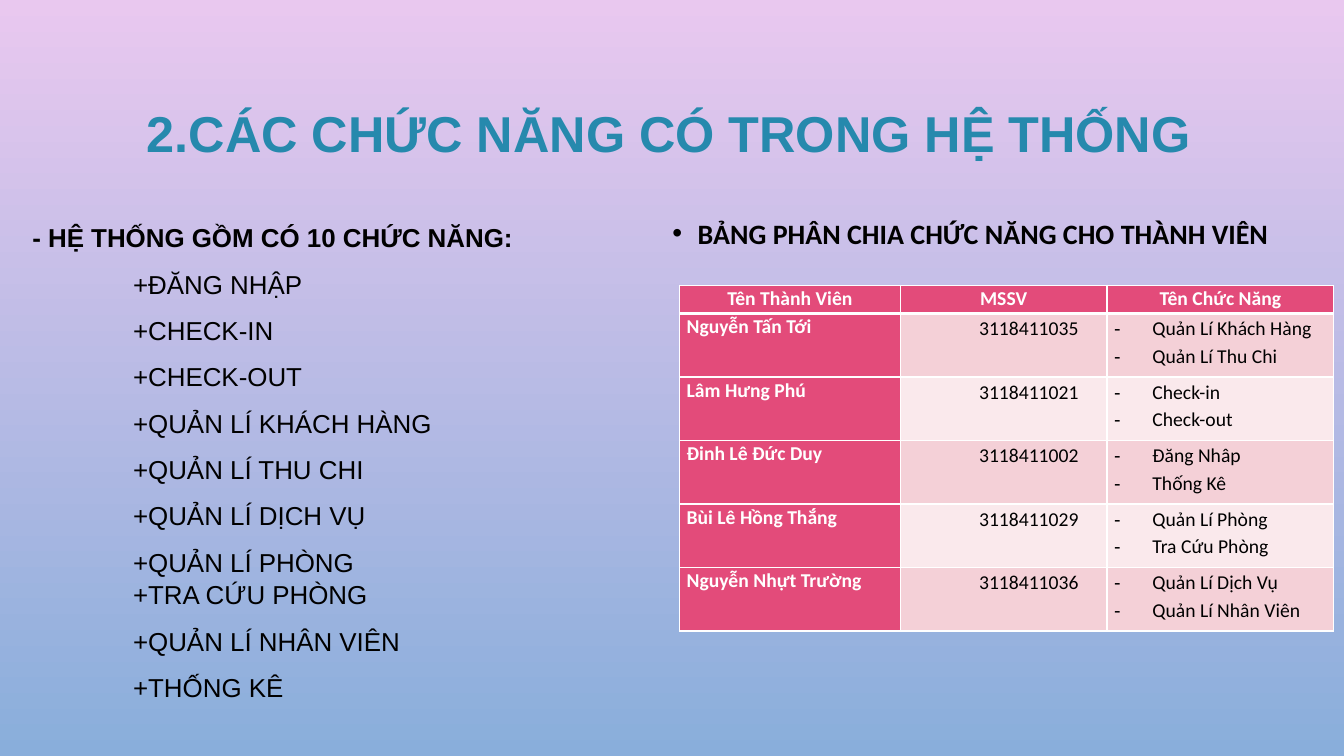
from dataclasses import dataclass

from lxml import etree
from pptx import Presentation
from pptx import util as u
from pptx.dml.color import RGBColor
from pptx.enum import text
from pptx.oxml.ns import qn


@dataclass(frozen=True)
class Theme:
    top: str = "E9C8EF"
    bottom: str = "89AEDB"
    title: str = "2689AD"
    ink: str = "000000"
    white: str = "FFFFFF"
    accent: str = "E34B7A"
    bands: tuple = ("F4D0D7", "FAE9EC")
    head_font: str = "Arial"
    table_font: str = "Calibri"
    title_size: float = 36
    list_size: float = 18.5
    caption_size: float = 20
    cell_size: float = 14


class Deck:
    """Places elements by percent of the slide's width and height."""

    def __init__(self, prs, theme):
        self.prs, self.t = prs, theme
        self.s = prs.slides.add_slide(prs.slide_layouts[3])

    def x(self, share):
        return u.Emu(round(self.prs.slide_width * share / 100))

    def y(self, share):
        return u.Emu(round(self.prs.slide_height * share / 100))

    def background(self):
        fill = self.s.background.fill
        fill.gradient()
        fill.gradient_angle = 270
        for stop, color in zip(fill.gradient_stops, (self.t.top, self.t.bottom)):
            stop.color.rgb = RGBColor.from_string(color)

    def style(self, p, font, size, color, bold=False, align=text.PP_ALIGN.LEFT,
              spacing=1.0, before=0, left=0, hang=0, bullet=None):
        pPr = p._p.get_or_add_pPr()
        pPr.set("marL", str(self.x(left)))
        pPr.set("indent", str(-self.x(hang)))
        if bullet:
            clr = etree.SubElement(pPr, qn("a:buClr"))
            etree.SubElement(clr, qn("a:srgbClr"), val=self.t.ink)
            etree.SubElement(pPr, qn("a:buFont"), typeface=self.t.head_font)
            etree.SubElement(pPr, qn("a:buChar"), char=bullet)
        else:
            etree.SubElement(pPr, qn("a:buNone"))
        p.alignment, p.line_spacing, p.space_before = align, spacing, u.Pt(before)
        for r in p.runs:
            r.font.name, r.font.size, r.font.bold = font, u.Pt(size), bold
            r.font.color.rgb = RGBColor.from_string(color)

    def placeholder(self, idx, box, content, anchor=text.MSO_ANCHOR.TOP):
        sp = self.s.placeholders[idx]
        left, top, width, height = box
        sp.left, sp.top = self.x(left), self.y(top)
        sp.width, sp.height = self.x(width), self.y(height)
        tf = sp.text_frame
        tf.text = content
        tf.word_wrap, tf.auto_size = True, text.MSO_AUTO_SIZE.NONE
        tf.vertical_anchor = anchor
        return tf.paragraphs

    def title(self, box, content):
        p = self.placeholder(0, box, content, text.MSO_ANCHOR.MIDDLE)[0]
        self.style(p, self.t.head_font, self.t.title_size, self.t.title, True,
                   text.PP_ALIGN.CENTER, 0.9)

    def function_list(self, box, heading, items):
        paragraphs = self.placeholder(1, box, "\n".join([heading, *items]))
        for i, p in enumerate(paragraphs):
            self.style(p, self.t.head_font, self.t.list_size, self.t.ink, i == 0,
                       spacing=1.04, before=10 if i else 0, left=7.5 if i else 0)

    def caption(self, box, content):
        p = self.placeholder(2, box, content)[0]
        self.style(p, self.t.table_font, self.t.caption_size, self.t.ink, True,
                   spacing=1.2, left=1.88, hang=1.88, bullet="•")

    def cell(self, cell, content, fill, bottom=1, **style):
        tcPr = cell._tc.get_or_add_tcPr()
        for side, width in zip("LRTB", (1, 1, 1, bottom)):
            ln = etree.SubElement(tcPr, qn(f"a:ln{side}"), w=str(u.Pt(width)))
            solid = etree.SubElement(ln, qn("a:solidFill"))
            etree.SubElement(solid, qn("a:srgbClr"), val=self.t.white)
        cell.fill.solid()
        cell.fill.fore_color.rgb = RGBColor.from_string(fill)
        cell.margin_left = cell.margin_right = self.x(0.53)
        cell.margin_top = cell.margin_bottom = 0
        cell.text_frame.text = content
        for p in cell.text_frame.paragraphs:
            self.style(p, self.t.table_font, self.t.cell_size, **style)

    def member_table(self, left, top, widths, head_height, row_height, header, members):
        heights = [head_height] + [row_height] * len(members)
        table = self.s.shapes.add_table(
            len(heights), len(widths), self.x(left), self.y(top),
            self.x(sum(widths)), self.y(sum(heights))).table
        table.horz_banding = False
        for column, width in zip(table.columns, widths):
            column.width = self.x(width)
        for row, height in zip(table.rows, heights):
            row.height = self.y(height)
        t, center = self.t, text.PP_ALIGN.CENTER
        label = dict(color=t.white, bold=True, spacing=1.07)
        value = dict(color=t.ink, spacing=1.15)
        for c, name in enumerate(header):
            self.cell(table.cell(0, c), name, t.accent, bottom=3, align=center, **label)
        for i, (name, code, *tasks) in enumerate(members):
            band = t.bands[i % 2]
            self.cell(table.cell(i + 1, 0), name, t.accent, **label)
            self.cell(table.cell(i + 1, 1), code, band, align=center, left=3.75, **value)
            self.cell(table.cell(i + 1, 2), "\n".join(tasks), band,
                      left=2.85, hang=2.85, bullet="-", **value)


FUNCTIONS = [
    "+ĐĂNG NHẬP", "+CHECK-IN", "+CHECK-OUT", "+QUẢN LÍ KHÁCH HÀNG",
    "+QUẢN LÍ THU CHI", "+QUẢN LÍ DỊCH VỤ", "+QUẢN LÍ PHÒNG\v+TRA CỨU PHÒNG",
    "+QUẢN LÍ NHÂN VIÊN", "+THỐNG KÊ",
]
MEMBERS = [
    ("Nguyễn Tấn Tới", "3118411035", "Quản Lí Khách Hàng", "Quản Lí Thu Chi"),
    ("Lâm Hưng Phú", "3118411021", "Check-in", "Check-out"),
    ("Đinh Lê Đức Duy", "3118411002", "Đăng Nhâp", "Thống Kê"),
    ("Bùi Lê Hồng Thắng", "3118411029", "Quản Lí Phòng", "Tra Cứu Phòng"),
    ("Nguyễn Nhựt Trường", "3118411036", "Quản Lí Dịch Vụ", "Quản Lí Nhân Viên"),
]


def main():
    prs = Presentation()
    prs.slide_width, prs.slide_height = u.Inches(13.33), u.Inches(7.5)
    deck = Deck(prs, Theme())

    # Background and title
    deck.background()
    deck.title((7.28, 6.4, 85, 23.33), "2.CÁC CHỨC NĂNG CÓ TRONG HỆ THỐNG")

    # Left: list of functions
    deck.function_list((1.65, 28.53, 41.48, 68.27),
                       "- HỆ THỐNG GỒM CÓ 10 CHỨC NĂNG:", FUNCTIONS)

    # Right: who does what
    deck.caption((49.28, 27.07, 49.96, 64.13),
                 "BẢNG PHÂN CHIA CHỨC NĂNG CHO THÀNH VIÊN")
    deck.member_table(50.56, 37.73, (16.43, 15.38, 16.88), 3.73, 8.4,
                      ("Tên Thành Viên", "MSSV", "Tên Chức Năng"), MEMBERS)

    prs.save("out.pptx")


if __name__ == "__main__":
    main()
